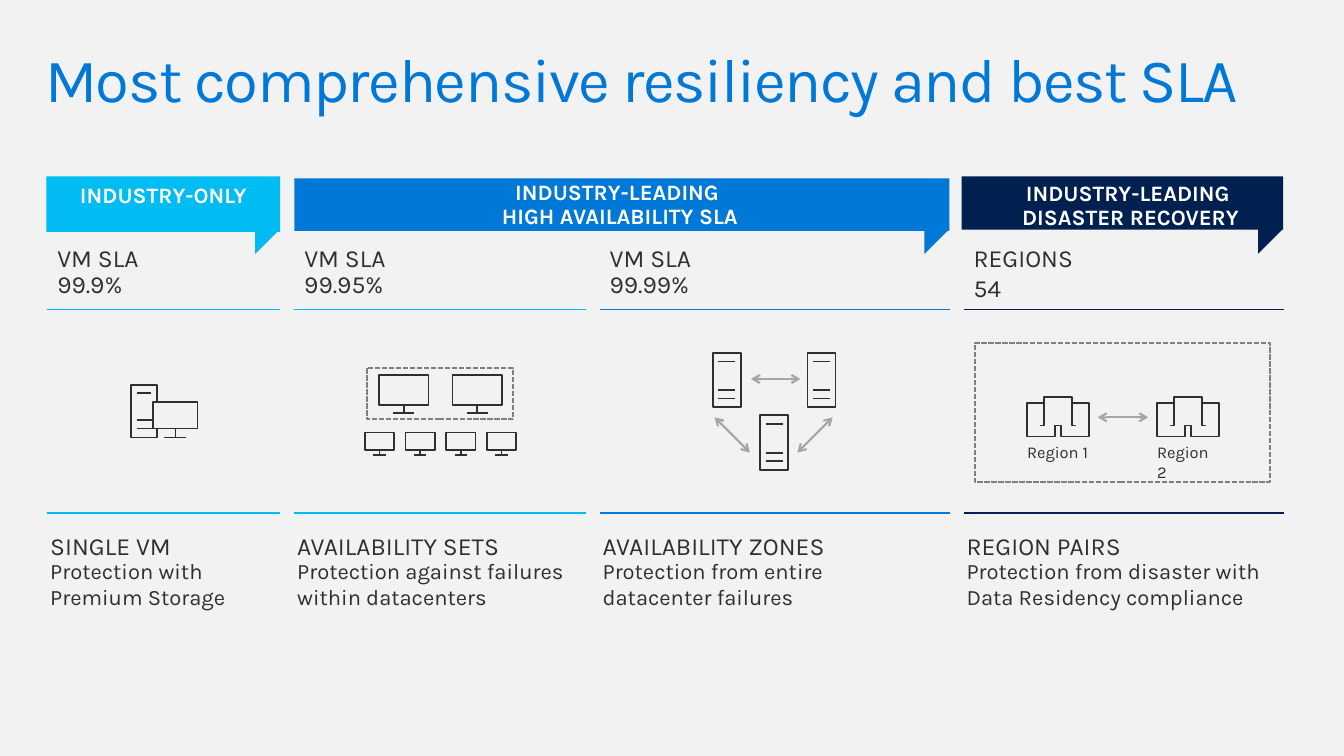
from dataclasses import dataclass

from lxml import etree
from pptx import Presentation
from pptx.dml.color import RGBColor
from pptx.enum.dml import MSO_LINE
from pptx.enum.shapes import MSO_CONNECTOR, MSO_SHAPE
from pptx.enum.text import MSO_ANCHOR, PP_ALIGN
from pptx.oxml.ns import qn
from pptx.util import Inches, Pt

RECT, FLAG = MSO_SHAPE.RECTANGLE, MSO_SHAPE.RIGHT_TRIANGLE
STRAIGHT, DASH = MSO_CONNECTOR.STRAIGHT, MSO_LINE.SQUARE_DOT
LEFT, CENTER, TOP = PP_ALIGN.LEFT, PP_ALIGN.CENTER, MSO_ANCHOR.TOP


@dataclass(frozen=True)
class Theme:
    font: str = "Karla"
    back: str = "F2F2F2"
    ink: str = "2F2F2F"
    white: str = "FFFFFF"
    cyan: str = "00BCF2"
    blue: str = "0078D7"
    navy: str = "002050"
    frame: str = "808080"
    arrow: str = "A6A6A6"
    title: float = 44
    head: float = 17.6
    body: float = 15.7
    small: float = 11.8
    thin: float = 1.25
    thick: float = 1.5


T = Theme()


def rgb(color):
    return RGBColor.from_string(color)


def grid(*cells):
    """Lengths in grid columns or rows; each is a tenth of an inch."""
    return [Inches(c / 10) for c in cells]


# Icons as strokes in shares of the icon's width and height
MONITOR = [[(0, 0), (1, 0), (1, .79), (0, .79), (0, 0)],
           [(.5, .79), (.5, 1)], [(.29, 1), (.71, 1)]]
SERVER = [[(0, 0), (1, 0), (1, 1), (0, 1), (0, 0)]]
SERVER += [[(.2, y), (.8, y)] for y in (.16, .69, .84)]
SINGLE_VM = [[(.33, .33), (1, .33), (1, .83), (.33, .83), (.33, .33)],
             [(.67, .83), (.67, 1)], [(.5, 1), (.83, 1)],
             [(.09, .15), (.3, .15)], [(.09, .83), (.33, .83)],
             [(.09, .67), (.33, .67)],
             [(.39, .33), (.39, 0), (0, 0), (0, 1), (.39, 1), (.39, .83)]]
HALF = [(.45, .72), (.45, 1), (0, 1), (0, .15), (.27, .15), (.27, .72),
        (.22, .72), (.27, .72), (.27, 0)]
BUILDING = [HALF + [(1 - x, y) for x, y in HALF[::-1]] + HALF[:1]]


class Slide:
    def __init__(self, prs, theme):
        self.t = theme
        self.s = prs.slides.add_slide(prs.slide_layouts[6])
        self.s.background.fill.solid()
        self.s.background.fill.fore_color.rgb = rgb(theme.back)

    def text(self, box, text, size, color=T.ink, bold=False, wrap=True,
             align=LEFT, inset=.5, spacing=None, track=None):
        tf = self.s.shapes.add_textbox(*grid(*box)).text_frame
        tf.word_wrap = wrap
        tf.vertical_anchor = TOP
        tf.margin_top = tf.margin_bottom = grid(inset)[0]
        tf.text = text
        p = tf.paragraphs[0]
        p.alignment = align
        if spacing:
            p.line_spacing = spacing
        for r in p.runs:
            r.font.name, r.font.size, r.font.bold = self.t.font, Pt(size), bold
            r.font.color.rgb = rgb(color)
            if track:
                r.font._element.set("spc", str(track))
        # Line breaks take the size of the text around them
        for br in p._p.findall(qn("a:br")):
            etree.SubElement(br, qn("a:rPr"), sz=str(round(size * 100)))

    def shape(self, kind, box, fill=None, flip=False):
        """A filled shape, or a dashed frame when no fill is given."""
        sp = self.s.shapes.add_shape(kind, *grid(*box))
        sp.shadow.inherit = False
        if fill:
            sp.fill.solid()
            sp.fill.fore_color.rgb = rgb(fill)
            sp.line.fill.background()
        else:
            sp.fill.background()
            sp.line.color.rgb = rgb(self.t.frame)
            sp.line.width = Pt(self.t.thin)
            sp.line.dash_style = DASH
        if flip:
            sp._element.spPr.find(qn("a:xfrm")).set("flipV", "1")

    def line(self, ends, color, width, arrows=False):
        c = self.s.shapes.add_connector(STRAIGHT, *grid(*ends))
        c.line.color.rgb = rgb(color)
        c.line.width = Pt(width)
        if arrows:
            ln = c.line._get_or_add_ln()
            for end in ("a:headEnd", "a:tailEnd"):
                etree.SubElement(ln, qn(end), type="arrow")
        etree.SubElement(c._element.spPr, qn("a:effectLst"))

    def icon(self, strokes, x, y, w, h):
        paths = [[grid(x + w * px, y + h * py) for px, py in stroke]
                 for stroke in strokes]
        fb = self.s.shapes.build_freeform(*paths[0][0])
        for i, points in enumerate(paths):
            if i:
                fb.move_to(*points[0])
            fb.add_line_segments(points[1:], close=False)
        sp = fb.convert_to_shape()
        sp.shadow.inherit = False
        sp.fill.background()
        sp.line.color.rgb = rgb(self.t.ink)
        sp.line.width = Pt(self.t.thin)

    def banner(self, bar, label_box, label, color):
        x, _, w, _ = bar
        self.shape(FLAG, (x + w - 2.5, 22.7, 2.5, 2.5), color, flip=True)
        self.shape(RECT, bar, color)
        self.text(label_box, label, self.t.body, self.t.white, bold=True,
                  align=CENTER, inset=1.6, spacing=.9)


# Column: width, colour, figures, heading, heading width, text, text width
# Figure: text, row, width, height
COLUMNS = [
    (23.1, T.cyan, [("VM SLA", 23.6, 10.8, 4), ("99.9%", 26.2, 8.6, 4)],
     "SINGLE VM", 14.7, "Protection with Premium Storage", 21.3),
    (28.9, T.cyan, [("VM SLA", 23.6, 10.8, 4), ("99.95%", 26.2, 10.6, 4)],
     "AVAILABILITY SETS", 23.3,
     "Protection against failures within datacenters", 30.3),
    (34.7, T.blue, [("VM SLA", 23.6, 10.8, 4), ("99.99%", 26.2, 10.6, 4)],
     "AVAILABILITY ZONES", 25.8,
     "Protection from entire datacenter failures", 32.8),
    (31.8, T.navy, [("REGIONS\v54", 23.6, 12.4, 6.9)],
     "REGION PAIRS", 18.3,
     "Protection from disaster with\vData Residency compliance", 32.1),
]
MARGIN, GUTTER = 4.7, 1.4


def main():
    prs = Presentation()
    prs.slide_width, prs.slide_height = grid(133.33, 75)
    s = Slide(prs, T)

    # Title
    s.text((3.5, 3.9, 126.3, 9.8), "Most comprehensive resiliency and best SLA",
           T.title, T.blue, inset=1, spacing=.9, track=-100)

    # Columns: rules, figures, headings and descriptions
    x = MARGIN
    for w, color, figures, head, head_w, body, body_w in COLUMNS:
        for y in (30.7, 50.9):
            s.line((x, y, x + w, y), color, T.thin)
        for figure, y, fw, fh in figures:
            s.text((x, y, fw, fh), figure, T.head, wrap=False)
        s.text((x - .7, 52.2, head_w, 4), head, T.head, wrap=False)
        s.text((x - .7, 54.8, body_w, 6.3), body, T.body)
        x += w + GUTTER

    # Single VM
    s.icon(SINGLE_VM, 13, 38.2, 6.6, 5.2)

    # Availability sets
    for i in range(2):
        s.icon(MONITOR, 37.6 + 7.3 * i, 37.2, 4.9, 3.8)
    s.shape(RECT, (36.4, 36.5, 14.5, 5.1))
    for i in range(4):
        s.icon(MONITOR, 36.2 + 4.03 * i, 42.9, 2.9, 2.2)

    # Availability zones
    for sx, sy in ((70.7, 35), (80.1, 35), (75.4, 41.2)):
        s.icon(SERVER, sx, sy, 2.8, 5.4)

    # Region pairs
    s.shape(RECT, (96.7, 34, 29.3, 13.8))
    for bx in (101.9, 114.8):
        s.icon(BUILDING, bx, 39.4, 6.1, 3.9)
    s.text((100.9, 43.4, 8.1, 3), "Region 1", T.small, wrap=False)
    s.text((113.8, 43.4, 7.6, 3), "Region 2", T.small)

    # Arrows between zones and between regions
    for ends in ((74.5, 37.6, 79.4, 37.6), (70.9, 41.4, 74.4, 44.9),
                 (82.6, 41.4, 79.1, 44.9), (108.9, 41.4, 113.9, 41.4)):
        s.line(ends, T.arrow, T.thick, arrows=True)

    # Banners
    s.banner((4.6, 17.5, 23.2, 5.5), (4.6, 17.1, 23.2, 5.5),
             "INDUSTRY-ONLY", T.cyan)
    s.banner((29.2, 17.7, 65, 5.2), (29, 16.4, 65, 7.9),
             "INDUSTRY-LEADING \vHIGH AVAILABILITY SLA", T.blue)
    s.banner((95.4, 17.5, 31.9, 5.3), (96.2, 16.5, 31.9, 7.9),
             "INDUSTRY-LEADING \vDISASTER RECOVERY", T.navy)

    prs.save("out.pptx")


if __name__ == "__main__":
    main()
